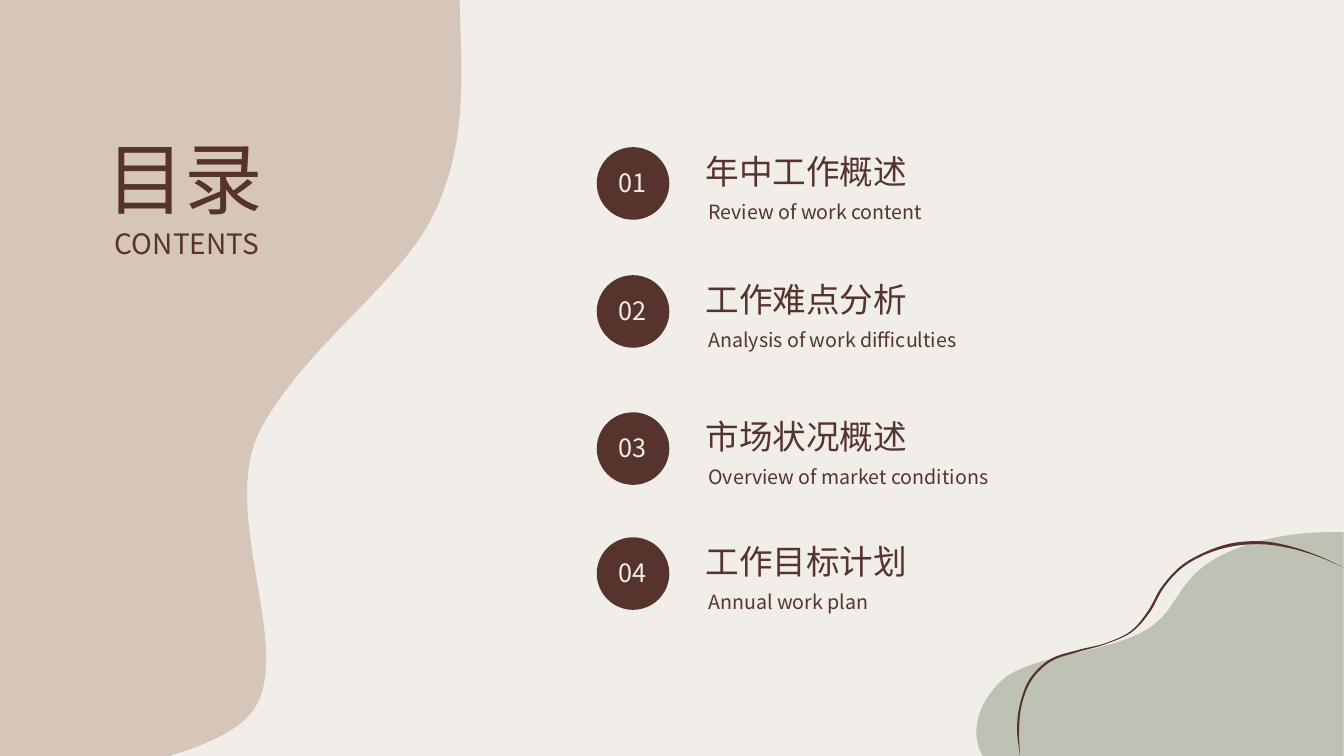
from dataclasses import dataclass

from lxml.etree import SubElement
from pptx import Presentation
from pptx.dml.color import RGBColor
from pptx.enum.shapes import MSO_SHAPE as Preset
from pptx.enum.text import MSO_AUTO_SIZE as AutoSize, PP_ALIGN as Align
from pptx.oxml.ns import qn
from pptx.util import Inches, Pt

COLORS = {
    "background": "F1EEE9",
    "sand": "D6C5B9",
    "sage": "BEC2B4",
    "brown": "56342D",
}
FONT = "Noto Sans CJK SC"
CIRCLE_LEFT, CIRCLE_SIZE = 5.92, 0.72

Point = tuple[float, float]


@dataclass
class Outline:
    color: str
    left: float
    top: float
    width: float
    height: float
    corners: list[Point]
    curve: list[Point]


@dataclass
class Entry:
    top: float
    title: str
    subtitle: str


def smooth_curve(anchors: list[Point]) -> list[Point]:
    padded = [anchors[0], *anchors, anchors[-1]]
    curve = []
    for before, start, end, after in zip(padded, padded[1:], padded[2:], padded[3:]):
        curve += [
            (start[0] + (end[0] - before[0]) / 6, start[1] + (end[1] - before[1]) / 6),
            (end[0] - (after[0] - start[0]) / 6, end[1] - (after[1] - start[1]) / 6),
            end,
        ]
    return curve


STROKE_INNER = [
    (10.12, 7.5), (10.11, 7.24), (10.14, 6.98), (10.24, 6.74), (10.43, 6.56),
    (10.69, 6.47), (10.97, 6.39), (11.23, 6.27), (11.41, 6.07), (11.54, 5.84),
    (11.72, 5.64), (11.96, 5.5), (12.23, 5.42), (12.52, 5.4), (12.8, 5.44),
    (13.07, 5.52), (13.33, 5.63),
]
STROKE_OUTER = [
    (13.33, 5.63), (13.07, 5.51), (12.8, 5.42), (12.52, 5.37), (12.22, 5.39),
    (11.95, 5.48), (11.71, 5.62), (11.52, 5.83), (11.39, 6.06), (11.22, 6.26),
    (10.97, 6.38), (10.69, 6.45), (10.42, 6.54), (10.22, 6.73), (10.12, 6.98),
    (10.09, 7.24), (10.12, 7.5),
]

OUTLINES = [
    Outline("sand", 0, 0, 4.58, 7.5, [(1.69, 7.5), (0, 7.5), (0, 0), (4.56, 0), (4.56, 0.03)], [
        (4.58, 0.75), (4.64, 1.4), (4.31, 2.11),
        (3.98, 2.81), (3.04, 3.42), (2.59, 4.25),
        (2.14, 5.09), (2.97, 6.51), (2.48, 7.09),
        (2.34, 7.25), (2.05, 7.39), (1.71, 7.49),
    ]),
    Outline("sage", 9.68, 5.28, 3.65, 2.22,
            [(9.75, 7.5), (13.33, 7.5), (13.33, 5.28), (13.32, 5.28)], [
        (12.98, 5.27), (12.64, 5.31), (12.33, 5.42),
        (11.63, 5.66), (11.75, 6.04), (11.35, 6.26),
        (10.96, 6.48), (10.23, 6.5), (9.95, 6.74),
        (9.75, 6.92), (9.62, 7.19), (9.72, 7.44),
    ]),
    Outline("brown", 10.08, 5.37, 3.25, 2.13, [STROKE_INNER[0]],
            smooth_curve(STROKE_INNER) + smooth_curve(STROKE_OUTER)),
]

ENTRIES = [
    Entry(1.46, "年中工作概述", "Review of work content"),
    Entry(2.73, "工作难点分析", "Analysis of work difficulties"),
    Entry(4.09, "市场状况概述", "Overview of market conditions"),
    Entry(5.33, "工作目标计划", "Annual work plan"),
]


def paint(shape, color: str) -> None:
    shape.shadow.inherit = False
    shape.fill.solid()
    shape.fill.fore_color.rgb = RGBColor.from_string(COLORS[color])
    shape.line.fill.background()


def add_command(path_element, tag: str, points: list[Point], outline: Outline) -> None:
    command = SubElement(path_element, qn(tag))
    for x, y in points:
        SubElement(command, qn("a:pt"), x=str(Inches(x - outline.left)),
                   y=str(Inches(y - outline.top)))


def add_outline(slide, outline: Outline) -> None:
    left, top = Inches(outline.left), Inches(outline.top)
    right, bottom = left + Inches(outline.width), top + Inches(outline.height)
    builder = slide.shapes.build_freeform(left, top)
    builder.add_line_segments([(right, top), (right, bottom), (left, bottom)])
    shape = builder.convert_to_shape()
    path_element = next(shape.element.iter(qn("a:path")))
    for command in list(path_element):
        path_element.remove(command)
    add_command(path_element, "a:moveTo", outline.corners[:1], outline)
    for corner in outline.corners[1:]:
        add_command(path_element, "a:lnTo", [corner], outline)
    for first in range(0, len(outline.curve), 3):
        add_command(path_element, "a:cubicBezTo", outline.curve[first:first + 3], outline)
    SubElement(path_element, qn("a:close"))
    paint(shape, outline.color)


def add_text(slide, text: str, *, left: float, top: float, width: float, height: float,
             size: float, color: str = "brown", align: Align = Align.LEFT) -> None:
    box = slide.shapes.add_textbox(Inches(left), Inches(top), Inches(width), Inches(height))
    frame = box.text_frame
    frame.word_wrap = True
    frame.auto_size = AutoSize.SHAPE_TO_FIT_TEXT
    paragraph = frame.paragraphs[0]
    paragraph.alignment = align
    run = paragraph.add_run()
    run.text = text
    run.font.size = Pt(size)
    run.font.color.rgb = RGBColor.from_string(COLORS[color])
    run.font.name = FONT
    SubElement(run._r.get_or_add_rPr(), qn("a:ea"), typeface=FONT)


def add_entry(slide, number: int, entry: Entry) -> None:
    add_text(slide, entry.title, left=6.9, top=entry.top - 0.01,
             width=2.45, height=0.5, size=24)
    circle = slide.shapes.add_shape(Preset.OVAL, Inches(CIRCLE_LEFT), Inches(entry.top),
                                    Inches(CIRCLE_SIZE), Inches(CIRCLE_SIZE))
    paint(circle, "brown")
    add_text(slide, f"{number:02}", left=5.98, top=entry.top + 0.15,
             width=0.59, height=0.4, size=18, color="background", align=Align.CENTER)
    add_text(slide, entry.subtitle, left=6.93, top=entry.top + 0.47,
             width=3.62, height=0.34, size=14)


def main() -> None:
    presentation = Presentation()
    presentation.slide_width = Inches(40 / 3)
    presentation.slide_height = Inches(7.5)
    slide = presentation.slides.add_slide(presentation.slide_layouts[6])
    slide.background.fill.solid()
    slide.background.fill.fore_color.rgb = RGBColor.from_string(COLORS["background"])

    for outline in OUTLINES:
        add_outline(slide, outline)
    for number, entry in enumerate(ENTRIES, start=1):
        add_entry(slide, number, entry)

    add_text(slide, "CONTENTS", left=0.81, top=2.2, width=2.09, height=0.44,
             size=20, align=Align.CENTER)
    add_text(slide, "目录", left=0.75, top=1.24, width=2.17, height=1.04,
             size=56, align=Align.CENTER)
    presentation.save("out.pptx")


if __name__ == "__main__":
    main()
